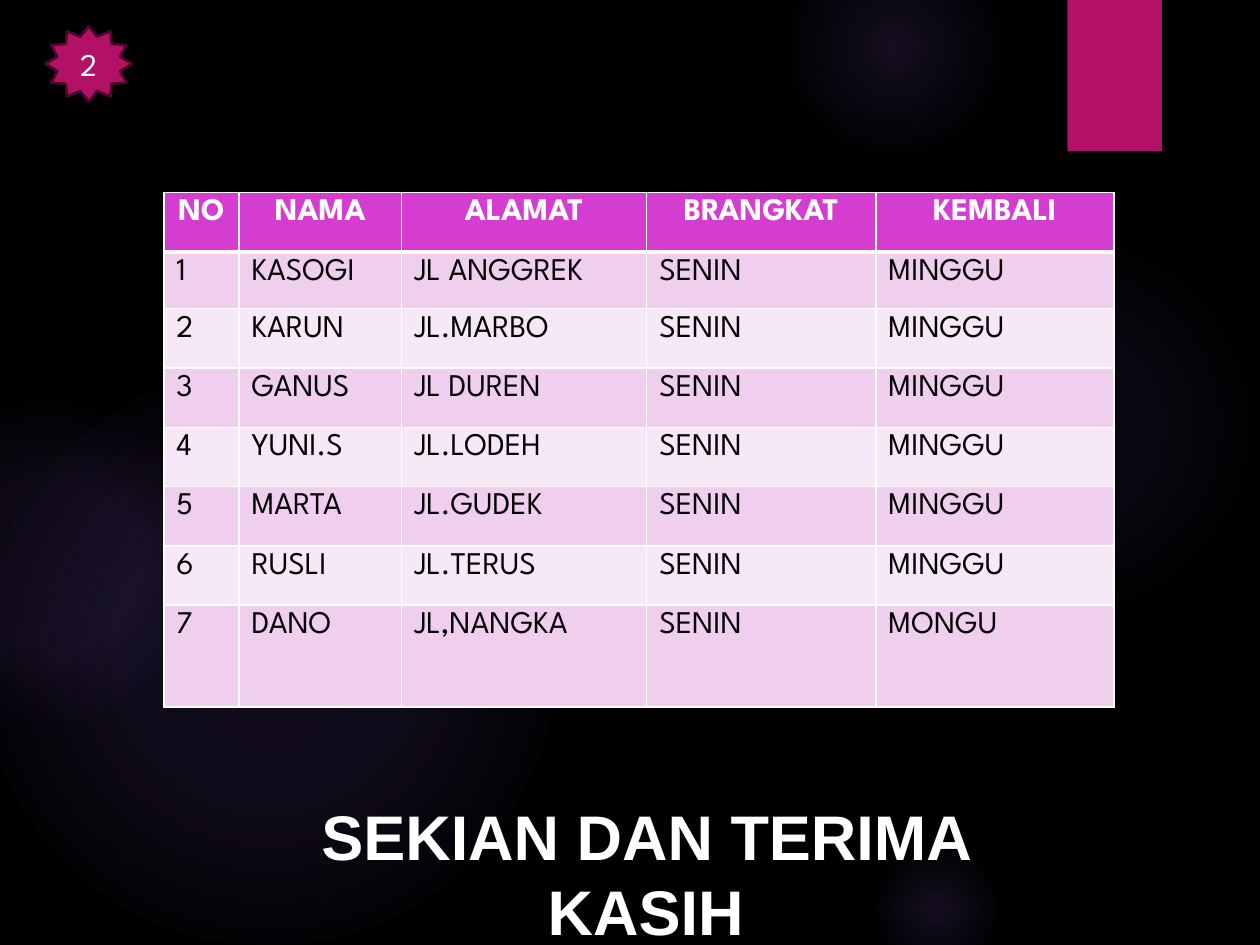
from pptx import Presentation
from pptx.dml.color import RGBColor
from pptx.enum.shapes import MSO_SHAPE
from pptx.enum.text import MSO_ANCHOR, MSO_AUTO_SIZE, PP_ALIGN
from pptx.oxml import parse_xml
from pptx.oxml.ns import nsdecls
from pptx.util import Pt

BLACK = RGBColor(0x00, 0x00, 0x00)
WHITE = RGBColor(0xFF, 0xFF, 0xFF)
GLOW = RGBColor(0x9B, 0x6B, 0xF2)
CRIMSON = RGBColor(0xB3, 0x11, 0x66)
DARK_CRIMSON = RGBColor(0x4E, 0x07, 0x2D)
HEADER = RGBColor(0xD5, 0x3D, 0xD0)
ODD_ROW = RGBColor(0xEF, 0xCE, 0xEE)
EVEN_ROW = RGBColor(0xF7, 0xE8, 0xF7)
BODY_FONT = "League Spartan"

ROWS = [
    ("NO", "NAMA", "ALAMAT", "BRANGKAT", "KEMBALI"),
    ("1", "KASOGI", "JL ANGGREK", "SENIN", "MINGGU"),
    ("2", "KARUN", "JL.MARBO", "SENIN", "MINGGU"),
    ("3", "GANUS", "JL DUREN", "SENIN", "MINGGU"),
    ("4", "YUNI.S", "JL.LODEH", "SENIN", "MINGGU"),
    ("5", "MARTA", "JL.GUDEK", "SENIN", "MINGGU"),
    ("6", "RUSLI", "JL.TERUS", "SENIN", "MINGGU"),
    ("7", "DANO", "JL,NANGKA", "SENIN", "MONGU"),
]
COL_WIDTHS = [43, 93, 140, 131, 136]
ROW_HEIGHTS = [34, 32.4] + [33.9] * 5 + [58.3]

# left, top, diameter, then (position %, opacity %) of each gradient stop
GLOWS = [
    (496, 132, 222, [(0, 7), (36, 6), (69, 0)]),
    (448, -36, 126, [(0, 14), (36, 7), (73, 0)]),
    (496, 480, 78, [(0, 14), (36, 7), (66, 0)]),
    (-12, 210, 330, [(0, 11), (36, 10), (75, 0)]),
    (-66, 228, 186, [(0, 8), (36, 8), (72, 0)]),
]


def add_shape(kind, left, top, width, height):
    s = slide.shapes.add_shape(kind, Pt(left), Pt(top), Pt(width), Pt(height))
    s.shadow.inherit = False
    s.line.fill.background()
    return s


def fill_solid(item, color):
    item.fill.solid()
    item.fill.fore_color.rgb = color


def add_glow(left, top, size, stops):
    s = add_shape(MSO_SHAPE.OVAL, left, top, size, size)
    gs = "".join(
        f'<a:gs pos="{pos * 1000}"><a:srgbClr val="{GLOW}">'
        f'<a:alpha val="{alpha * 1000}"/></a:srgbClr></a:gs>'
        for pos, alpha in stops)
    s._element.spPr.prstGeom.addnext(parse_xml(
        f'<a:gradFill {nsdecls("a")}><a:gsLst>{gs}</a:gsLst><a:path path="circle">'
        '<a:fillToRect l="50000" t="50000" r="50000" b="50000"/></a:path></a:gradFill>'))


def set_text(tf, text, size, font, color, bold=False, align=PP_ALIGN.CENTER):
    p = tf.paragraphs[0]
    p.text = text
    p.alignment = align
    p.font.size = Pt(size)
    p.font.name = font
    p.font.bold = bold
    p.font.color.rgb = color


def set_borders(cell, top, bottom):
    """Give a cell white edges; the left and right ones are 1 pt wide."""
    tcPr = cell._tc.get_or_add_tcPr()
    for i, (side, width) in enumerate((("L", 1), ("R", 1), ("T", top), ("B", bottom))):
        tcPr.insert(i, parse_xml(
            f'<a:ln{side} {nsdecls("a")} w="{Pt(width)}"><a:solidFill>'
            f'<a:srgbClr val="{WHITE}"/></a:solidFill></a:ln{side}>'))


def add_schedule(left, top):
    table = slide.shapes.add_table(
        len(ROWS), len(COL_WIDTHS), Pt(left), Pt(top),
        Pt(sum(COL_WIDTHS)), Pt(sum(ROW_HEIGHTS))).table
    for col, width in zip(table.columns, COL_WIDTHS):
        col.width = Pt(width)
    for r, (row, height) in enumerate(zip(ROWS, ROW_HEIGHTS)):
        table.rows[r].height = Pt(height)
        for c, text in enumerate(row):
            cell = table.cell(r, c)
            if r == 0:
                fill_solid(cell, HEADER)
                set_text(cell.text_frame, text, 18, BODY_FONT, WHITE, True)
            else:
                fill_solid(cell, ODD_ROW if r % 2 else EVEN_ROW)
                set_text(cell.text_frame, text, 18, BODY_FONT, BLACK, align=PP_ALIGN.LEFT)
            set_borders(cell, 3 if r == 1 else 1, 3 if r == 0 else 1)


prs = Presentation()
prs.slide_width, prs.slide_height = Pt(720), Pt(540)
slide = prs.slides.add_slide(prs.slide_layouts[6])
fill_solid(slide.background, BLACK)

for glow in GLOWS:
    add_glow(*glow)

ribbon = add_shape(MSO_SHAPE.RECTANGLE, 610, 0, 54, 86.4)
fill_solid(ribbon, CRIMSON)

add_schedule(93.6, 110)

badge = add_shape(MSO_SHAPE.STAR_12_POINT, 26, 15, 49.5, 43)
fill_solid(badge, CRIMSON)
badge.line.color.rgb = DARK_CRIMSON
badge.line.width = Pt(1.5)
badge.text_frame.vertical_anchor = MSO_ANCHOR.MIDDLE
set_text(badge.text_frame, "2", 18, BODY_FONT, WHITE)

closing = slide.shapes.add_textbox(Pt(170.6), Pt(452), Pt(396.7), Pt(51))
closing.text_frame.word_wrap = True
closing.text_frame.auto_size = MSO_AUTO_SIZE.SHAPE_TO_FIT_TEXT
set_text(closing.text_frame, "SEKIAN DAN TERIMA KASIH", 36, "Arial", WHITE, True)

prs.save("out.pptx")
